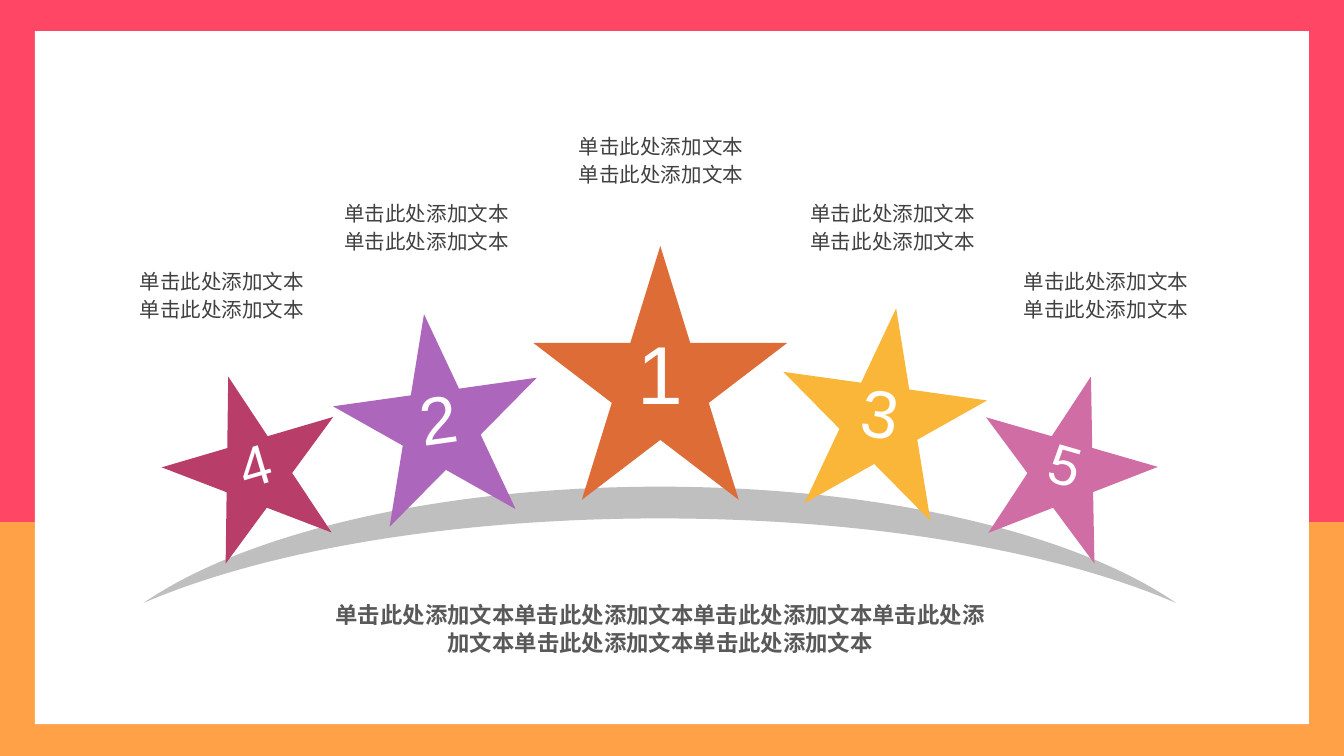
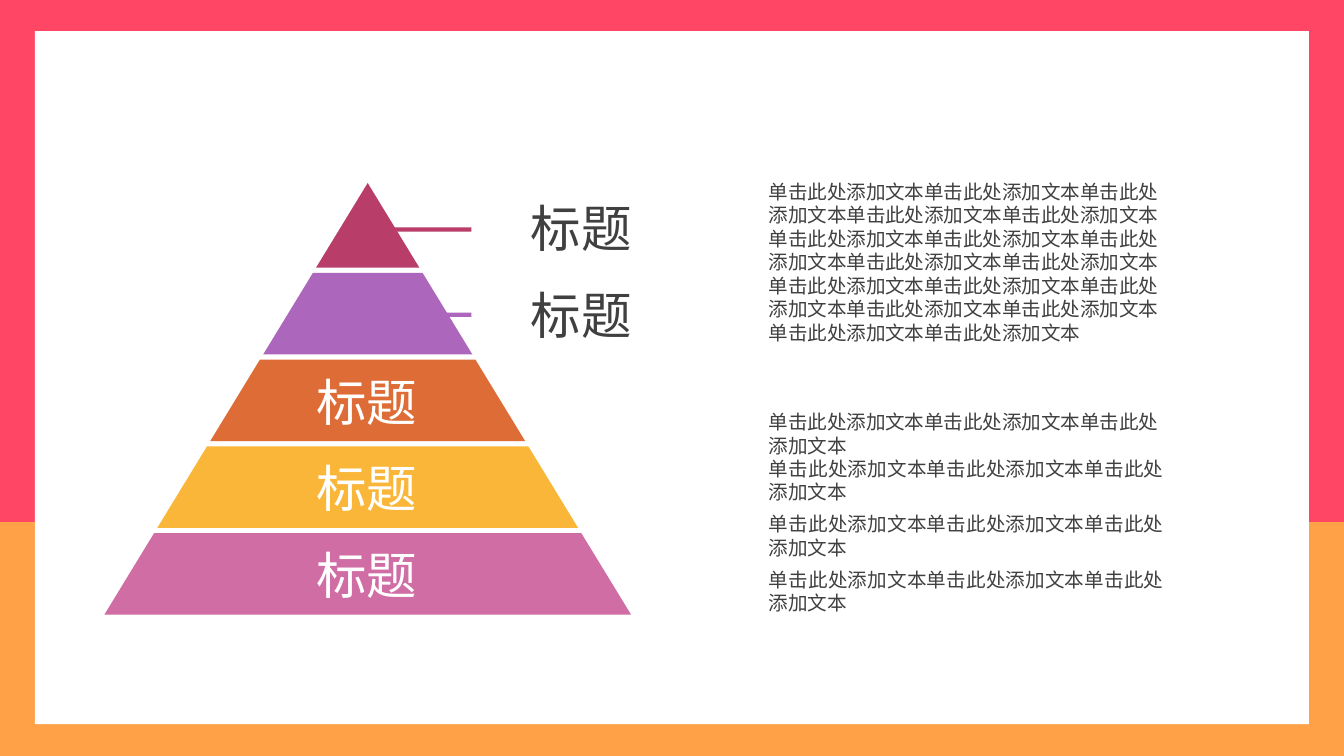
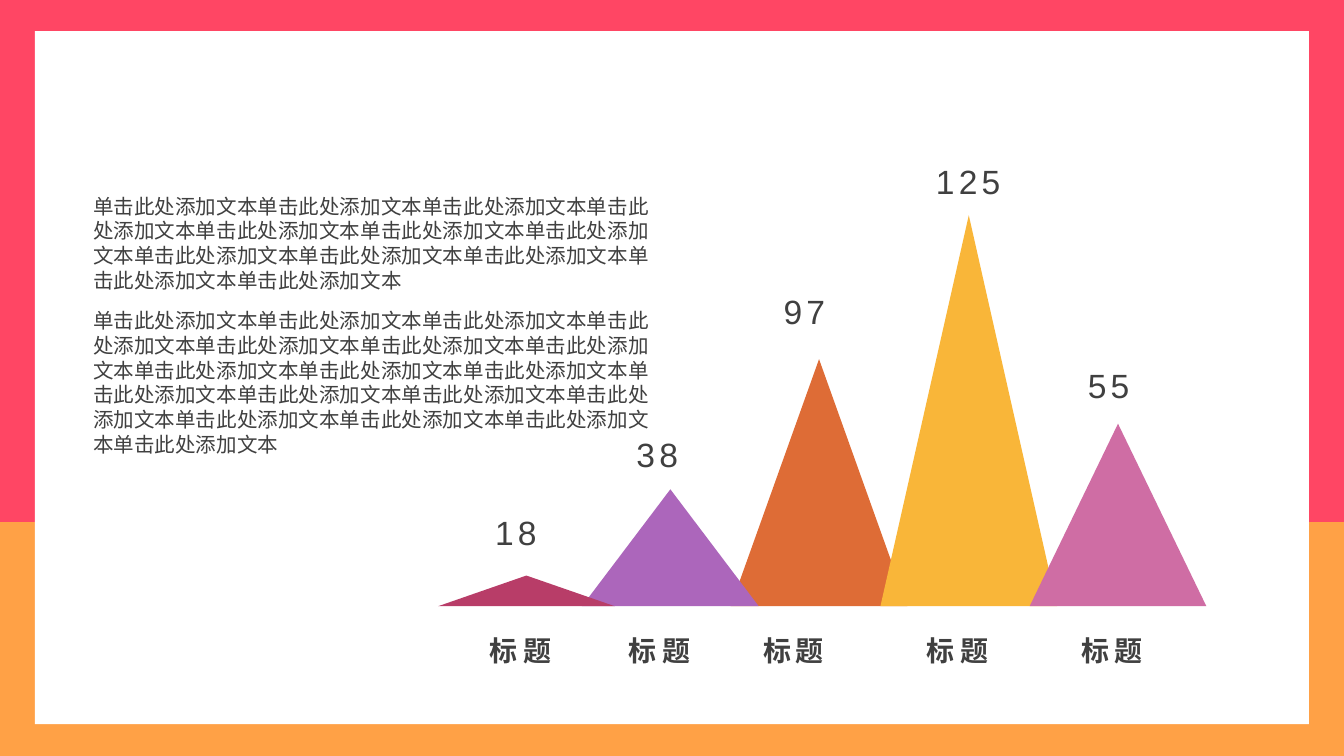
from lxml import etree
from pptx import Presentation
from pptx import util as u
from pptx.dml.color import RGBColor
from pptx.enum import shapes, text
from pptx.oxml import ns

Cm, Pt = u.Cm, u.Pt
RED = RGBColor(0xFF, 0x46, 0x64)
AMBER = RGBColor(0xFF, 0xA1, 0x46)
WHITE = RGBColor(0xFF, 0xFF, 0xFF)
GREY = RGBColor(0xBF, 0xBF, 0xBF)
DARK = RGBColor(0x40, 0x40, 0x40)
SLATE = RGBColor(0x59, 0x59, 0x59)
ROSE = RGBColor(0xB8, 0x3D, 0x68)
PURPLE = RGBColor(0xAC, 0x66, 0xBB)
RUST = RGBColor(0xDE, 0x6C, 0x36)
GOLD = RGBColor(0xF9, 0xB6, 0x39)
PINK = RGBColor(0xCF, 0x6D, 0xA4)
HUES = [ROSE, PURPLE, RUST, GOLD, PINK]

FONT = "Arial"
FILLER = "单击此处添加文本"
TITLE = "标题"
WIDE, HIGH = 25.4, 14.29
SPLIT = 9.87
LEFT, MID, JUST = text.PP_ALIGN.LEFT, text.PP_ALIGN.CENTER, text.PP_ALIGN.JUSTIFY
WIDE_PAD, SLIM_PAD, BODY_PAD = (0.25, 0.13), (0.18, 0.1), (0.15, 0.08)


def paint(shape, color):
    shape.shadow.inherit = False
    shape.fill.solid()
    shape.fill.fore_color.rgb = color
    shape.line.fill.background()


def block(slide, at, color, kind=shapes.MSO_SHAPE.RECTANGLE, turn=0):
    shape = slide.shapes.add_shape(kind, *map(Cm, at))
    shape.rotation = turn
    paint(shape, color)


def outline(slide, points, color):
    spots = [(Cm(x), Cm(y)) for x, y in points]
    pen = slide.shapes.build_freeform(*spots[0])
    pen.add_line_segments(spots[1:])
    shape = pen.convert_to_shape()
    paint(shape, color)
    return shape


def bend(shape):
    lines = list(shape._element.iter(ns.qn("a:lnTo")))
    for i in range(0, len(lines) - 2, 3):
        curve = etree.Element(ns.qn("a:cubicBezTo"))
        lines[i].addprevious(curve)
        for line in lines[i:i + 3]:
            curve.append(line[0])
            line.getparent().remove(line)
    for line in shape._element.findall(".//" + ns.qn("a:lnTo")):
        line.getparent().remove(line)


def write(slide, at, lines, size, color=DARK, align=LEFT, pad=SLIM_PAD,
          wrap=False, grow=True, bold=False, track=0, turn=0):
    box = slide.shapes.add_textbox(*map(Cm, at))
    box.rotation = turn
    frame = box.text_frame
    frame.word_wrap = wrap
    frame.auto_size = text.MSO_AUTO_SIZE.SHAPE_TO_FIT_TEXT if grow else text.MSO_AUTO_SIZE.NONE
    frame.margin_left = frame.margin_right = Cm(pad[0])
    frame.margin_top = frame.margin_bottom = Cm(pad[1])
    for i, line in enumerate(lines):
        para = frame.add_paragraph() if i else frame.paragraphs[0]
        para.alignment = align
        run = para.add_run()
        run.text = line
        run.font.name = FONT
        run.font.size = Pt(size)
        run.font.color.rgb = color
        if bold:
            run.font.bold = True
        if track:
            run._r.get_or_add_rPr().set("spc", str(round(track * 100)))
    return frame.paragraphs


def framed(deck):
    slide = deck.slides.add_slide(deck.slide_layouts[6])
    block(slide, (0, 0, WIDE, SPLIT), RED)
    block(slide, (0, SPLIT, WIDE, HIGH - SPLIT), AMBER)
    block(slide, (0.66, 0.59, 24.08, 13.1), WHITE)
    return slide


def arch(slide):
    axis = 12.47
    outer = [(axis, 9.2), (16.66, 9.2), (20.32, 10.08), (22.23, 11.4)]
    inner = [(19.94, 10.41), (16.41, 9.8), (axis, 9.8)]
    right = outer + inner
    left = [(2 * axis - x, y) for x, y in reversed(right)]
    bend(outline(slide, right + left[1:], GREY))


def spaced(paras):
    for para in paras:
        para.line_spacing = Pt(15)


def podium(deck):
    slide = framed(deck)
    arch(slide)
    stars = [
        ("1", RUST, (10.08, 4.65, 4.8), (11.79, 5.97, 1.4, 2.13), 44, 0),
        ("2", PURPLE, (6.34, 5.92, 3.89), (7.67, 7, 1.22, 1.8), 36, 352),
        ("4", ROSE, (3.1, 7.05, 3.38), (4.25, 8, 1.12, 1.55), 30, 343.6),
        ("3", GOLD, (14.72, 5.81, 3.89), (16.04, 6.88, 1.22, 1.8), 36, 8),
        ("5", PINK, (18.46, 7.05, 3.38), (19.58, 8, 1.12, 1.55), 30, 16.1),
    ]
    for rank, hue, (x, y, side), at, size, turn in stars:
        block(slide, (x, y, side, side), hue, shapes.MSO_SHAPE.STAR_5_POINT, turn)
        write(slide, at, [rank], size, WHITE, MID, WIDE_PAD, turn=turn)
    spaced(write(slide, (6.07, 11.22, 12.82, 1.32), [FILLER * 6], 12, SLATE, MID,
                 WIDE_PAD, wrap=True, bold=True))
    for x, y in [(10.41, 2.34), (5.98, 3.61), (14.79, 3.61), (2.11, 4.9), (18.82, 4.9)]:
        spaced(write(slide, (x, y, 4.17, 1.32), [FILLER] * 2, 11, DARK, MID,
                     WIDE_PAD, wrap=True))


def pyramid(deck):
    slide = framed(deck)
    axis, apex, slope, pitch = 6.95, 3.46, 0.61, 1.64
    for i in (0, 2, 4, 3, 1):
        base = 5.06 + pitch * i
        top = base - 1.54 if i else apex
        near, far = slope * (top - apex), slope * (base - apex)
        peak = [(axis - near, top), (axis + near, top)] if i else [(axis, apex)]
        ring = peak + [(axis + far, base), (axis - far, base)]
        outline(slide, ring + ring[:1], HUES[i])
    for y, hue in [(5.91, PURPLE), (4.3, ROSE)]:
        block(slide, (6.93, y, 1.98, 0.08), hue)
    for i in reversed(range(5)):
        x, color = (9.83, DARK) if i < 2 else (5.78, WHITE)
        write(slide, (x, 3.63 + pitch * i, 2.31, 1.35), [TITLE], 27, color, MID)
    write(slide, (14.38, 3.32, 7.77, 3.28), [FILLER * 17], 10.5, pad=BODY_PAD, wrap=True)
    notes = write(slide, (14.38, 7.67, 7.77, 4.09), [FILLER * 3] * 4, 10.5,
                  pad=BODY_PAD, wrap=True)
    for para in notes[1:]:
        para.alignment = JUST
        para.space_after = Pt(4.5)


def hill(slide, x, rise, hue):
    base, half = 11.46, 1.67
    top, mid = base - rise, base - rise / 2
    axis = x + half
    outline(slide, [(axis, top), (axis + half / 2, mid), (axis + half, base), (axis, base),
                    (x, base), (axis - half / 2, mid), (axis, top)], hue)


def peaks(deck):
    slide = framed(deck)
    hills = [(13.81, 4.67, RUST), (11, 2.21, PURPLE), (8.28, 0.58, ROSE),
             (16.64, 7.39, GOLD), (19.46, 3.45, PINK)]
    for x, rise, hue in hills:
        hill(slide, x, rise, hue)
    for i, x in enumerate([9, 11.62, 14.25, 17.26, 20.18]):
        align, track, width = (LEFT, 2.2, 1.63) if i == 2 else (MID, 3, 1.68)
        write(slide, (x, 11.88, width, 0.84), [TITLE], 15, align=align,
              bold=True, track=track)
    marks = [("18", 9.18, 9.58), ("38", 11.85, 8.1), ("97", 14.63, 5.4),
             ("125", 17.51, 2.95), ("55", 20.38, 6.8)]
    for value, x, y in marks:
        write(slide, (x, y, 0.4 + 0.45 * len(value), 0.97), [value], 18, track=2.2)
    for y, count in [(3.56, 12), (5.73, 18)]:
        paras = write(slide, (1.58, y, 10.9, 1.7), [FILLER * count], 11, wrap=True, grow=False)
        paras[0].space_before = Pt(2.2)


def main():
    deck = Presentation()
    deck.slide_width, deck.slide_height = Cm(WIDE), Cm(HIGH)
    podium(deck)
    pyramid(deck)
    peaks(deck)
    deck.save("out.pptx")


if __name__ == "__main__":
    main()
